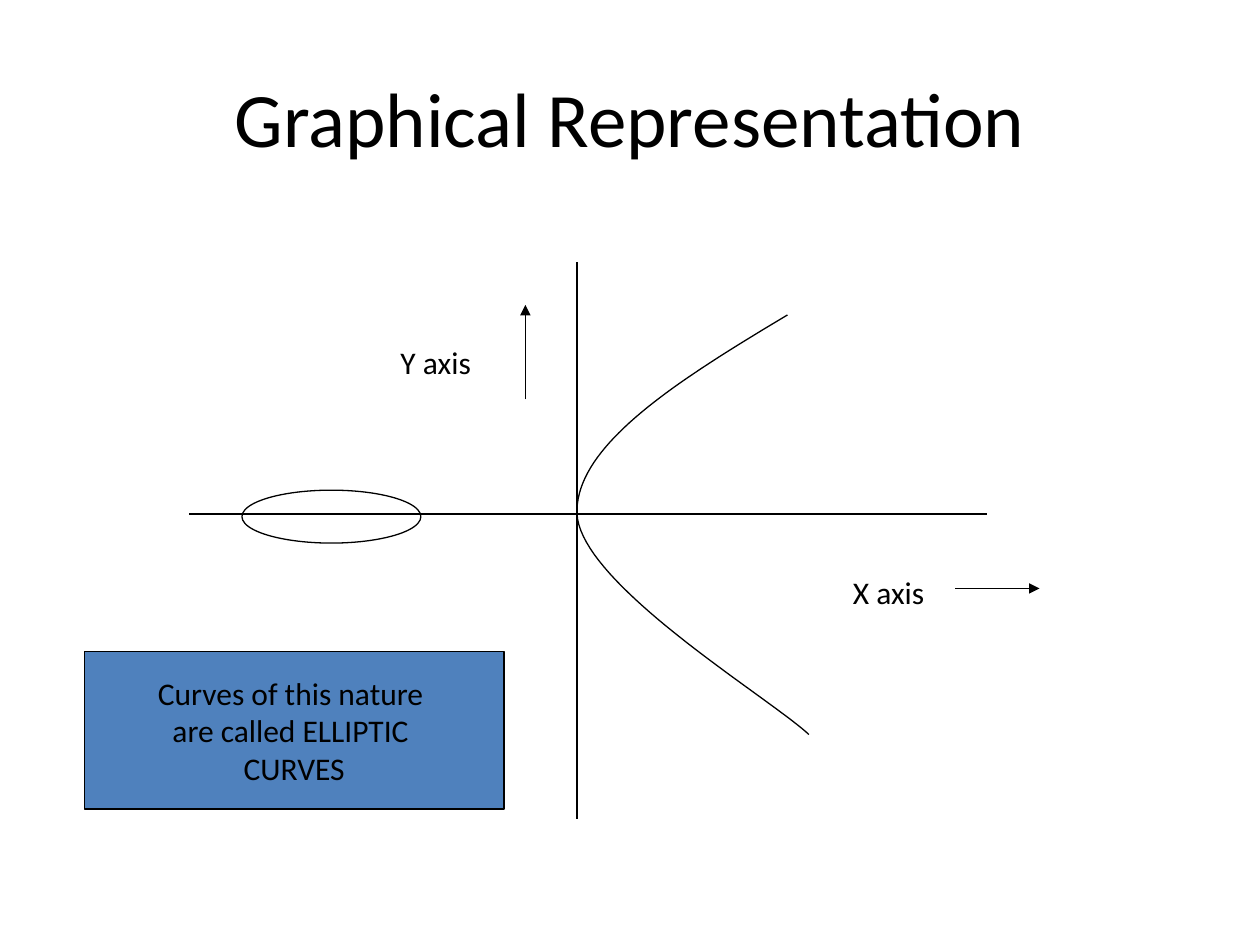
from pptx import Presentation
from pptx.dml.color import RGBColor
from pptx.enum.shapes import MSO_CONNECTOR, MSO_SHAPE
from pptx.enum.text import MSO_ANCHOR, PP_ALIGN
from pptx.oxml.ns import qn
from pptx.util import Inches, Pt
from lxml.etree import SubElement

COLORS = {"ink": "000000", "note": "4F81BD"}
FONT = "Calibri"
CURVE_STEPS = 40


def color(name):
    return RGBColor.from_string(COLORS[name])


def style_line(shape):
    shape.line.color.rgb = color("ink")
    shape.line.width = Pt(0.75)


def write(shape, text, size, align=PP_ALIGN.LEFT, anchor=MSO_ANCHOR.TOP, wrap=True):
    frame = shape.text_frame
    frame.text = text
    frame.word_wrap = wrap
    frame.vertical_anchor = anchor
    for paragraph in frame.paragraphs:
        paragraph.alignment = align
        for run in paragraph.runs:
            run.font.name = FONT
            run.font.size = Pt(size)
            run.font.color.rgb = color("ink")


def add_line(slide, x1, y1, x2, y2, arrow=False):
    line = slide.shapes.add_connector(
        MSO_CONNECTOR.STRAIGHT, *(Inches(v) for v in (x1, y1, x2, y2)))
    style_line(line)
    if arrow:
        SubElement(line.line._get_or_add_ln(), qn("a:tailEnd"), type="triangle")
    SubElement(line._element.spPr, qn("a:effectLst"))


def add_text(slide, left, top, width, height, text, size, **layout):
    box = slide.shapes.add_textbox(*(Inches(v) for v in (left, top, width, height)))
    write(box, text, size, **layout)


def bezier(p0, p1, p2, p3):
    """Points along a cubic curve, without its start."""
    for step in range(1, CURVE_STEPS + 1):
        t = step / CURVE_STEPS
        u = 1 - t
        yield tuple(u**3 * a + 3 * u * u * t * b + 3 * u * t * t * c + t**3 * d
                    for a, b, c, d in zip(p0, p1, p2, p3))


def add_graph(slide, left, top, width, height):
    # Axes
    origin_x, origin_y = left + 3.08, top + 2
    add_line(slide, origin_x, top, origin_x, top + height)
    add_line(slide, left, origin_y, left + width, origin_y)

    # Closed branch
    oval = slide.shapes.add_shape(
        MSO_SHAPE.OVAL, Inches(left + 0.42), Inches(origin_y - 0.19),
        Inches(1.42), Inches(0.42))
    oval.shadow.inherit = False
    oval.fill.background()
    style_line(oval)

    # Open branch, as offsets from the origin
    start, vertex, end = (1.67, -1.58), (0, 0), (1.84, 1.75)
    points = [*bezier(start, (0.82, -1.07), (-0.02, -0.55), vertex),
              *bezier(vertex, (0.03, 0.56), (1.53, 1.46), end)]
    to_slide = [(Inches(origin_x + x), Inches(origin_y + y)) for x, y in [start, *points]]
    builder = slide.shapes.build_freeform(*to_slide[0])
    builder.add_line_segments(to_slide[1:], close=False)
    branch = builder.convert_to_shape()
    branch.shadow.inherit = False
    branch.fill.background()
    style_line(branch)

    # Axis labels and direction arrows
    add_text(slide, left + 5.17, top + 2.42, 1.58, 0.4, "X axis", 18)
    add_text(slide, left + 1.58, top + 0.59, 1.17, 0.4, "Y axis", 18)
    add_line(slide, left + 6.08, top + 2.59, left + 6.75, top + 2.59, arrow=True)
    add_line(slide, left + 2.67, top + 1.09, left + 2.67, top + 0.34, arrow=True)


def add_note(slide, left, top, width, height):
    note = slide.shapes.add_shape(
        MSO_SHAPE.RECTANGLE, *(Inches(v) for v in (left, top, width, height)))
    note.shadow.inherit = False
    note.fill.solid()
    note.fill.fore_color.rgb = color("note")
    style_line(note)
    write(note, "Curves of this nature \nare called ELLIPTIC \nCURVES", 18,
          align=PP_ALIGN.CENTER, anchor=MSO_ANCHOR.MIDDLE, wrap=False)


def main():
    deck = Presentation()
    deck.slide_width, deck.slide_height = Inches(10), Inches(7.5)
    slide = deck.slides.add_slide(deck.slide_layouts[6])
    add_text(slide, 0.5, 0.3, 9, 1.25, "Graphical Representation", 44,
             align=PP_ALIGN.CENTER, anchor=MSO_ANCHOR.MIDDLE)
    add_graph(slide, 1.5, 2.08, 6.33, 4.42)
    add_note(slide, 0.67, 5.17, 3.33, 1.25)
    deck.save("out.pptx")


if __name__ == "__main__":
    main()
